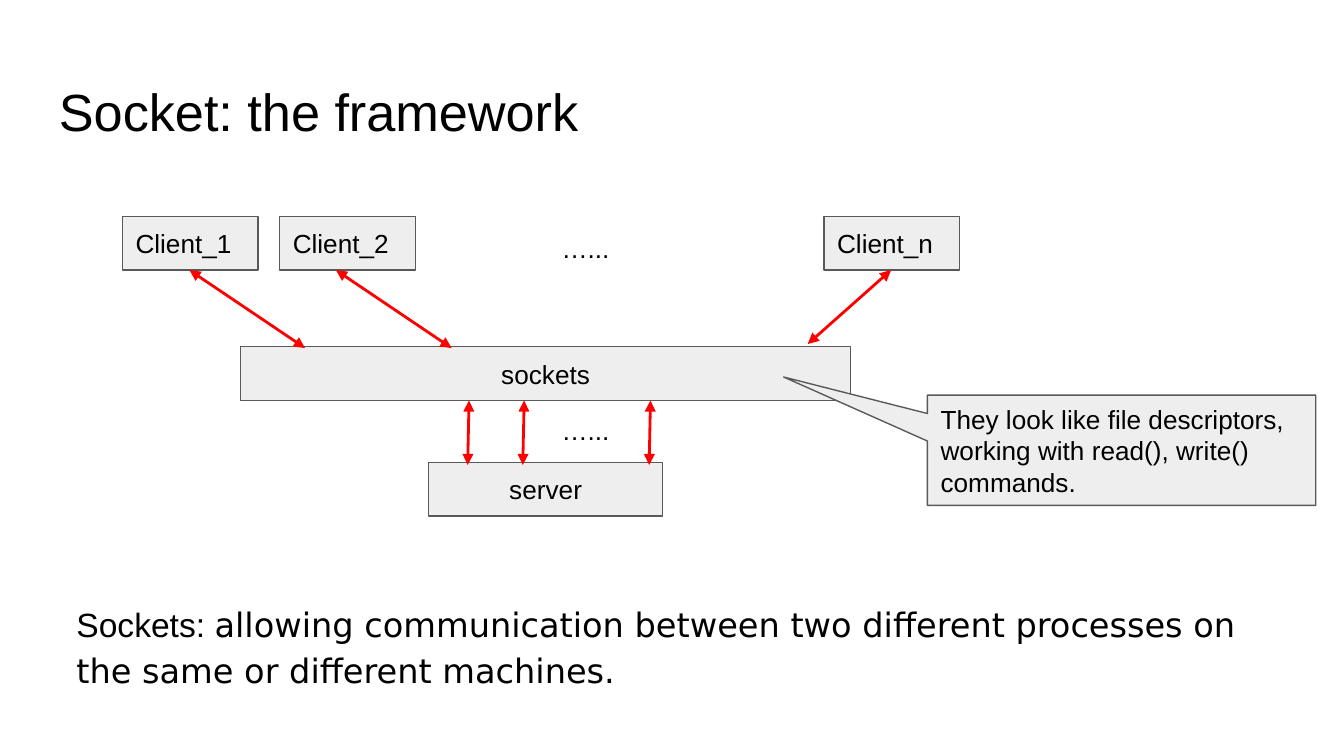
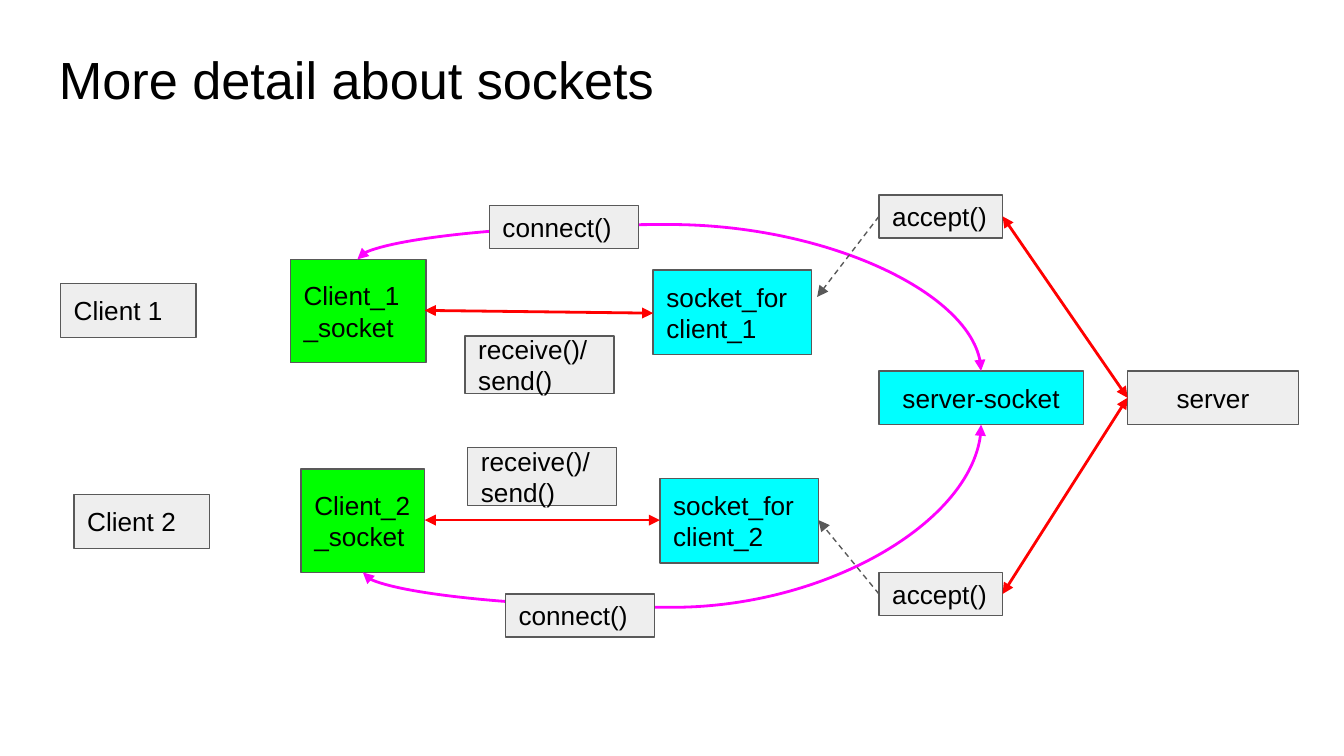
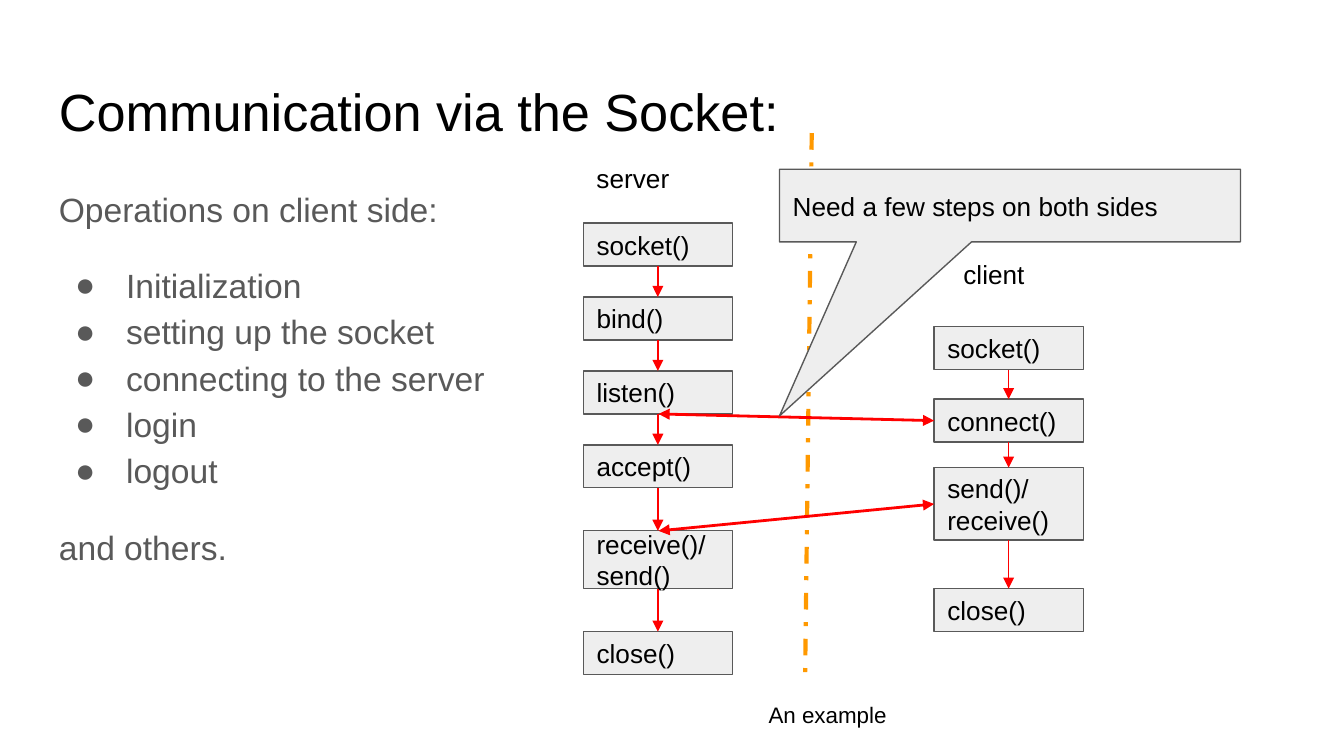
from itertools import pairwise

from lxml.etree import SubElement
from pptx import Presentation
from pptx.dml.color import RGBColor
from pptx.enum.dml import MSO_LINE_DASH_STYLE as Dash
from pptx.enum.shapes import MSO_CONNECTOR as Connector, MSO_SHAPE as Shape
from pptx.enum.text import MSO_ANCHOR as Anchor, PP_ALIGN as Align
from pptx.oxml.ns import qn
from pptx.util import Inches, Pt

COLORS = {
    "text": "000000",
    "body": "595959",
    "outline": "595959",
    "box": "EEEEEE",
    "client": "00FF00",
    "server": "00FFFF",
    "arrow": "FF0000",
    "connect": "FF00FF",
    "divider": "FF9900",
}
FONT = "Arial"
WIDE_FONT = "DejaVu Sans"
INSET = 0.1
CALL_WIDTH = 1.11
CALL_HEIGHT = 0.32
BOX_HEIGHT = 0.4


def color(name):
    return RGBColor.from_string(COLORS[name])


def add_span(para, text, size=14, tint="text", font=FONT):
    span = para.add_run()
    span.text = text
    span.font.name = font
    span.font.size = Pt(size)
    span.font.color.rgb = color(tint)


def prepare_frame(shape, anchor):
    frame = shape.text_frame
    frame.word_wrap = True
    frame.vertical_anchor = anchor
    frame.margin_left = frame.margin_right = Inches(INSET)
    frame.margin_top = frame.margin_bottom = Inches(INSET)
    return frame


def write_lines(frame, text, size=14, align=Align.LEFT):
    for index, line in enumerate(text.split("\n")):
        para = frame.add_paragraph() if index else frame.paragraphs[0]
        para.alignment = align
        add_span(para, line, size)


def add_text(page, place, text="", size=14, anchor=Anchor.TOP):
    label = page.shapes.add_textbox(*map(Inches, place))
    frame = prepare_frame(label, anchor)
    if text:
        write_lines(frame, text, size)
    return frame


def add_title(page, text, top=0.49):
    add_text(page, (0.34, top, 9.32, 0.63), text, 28)


def add_box(parent, place, text, fill="box", align=Align.LEFT, kind=Shape.RECTANGLE, adjust=()):
    box = parent.shapes.add_shape(kind, *map(Inches, place))
    box.shadow.inherit = False
    for index, value in enumerate(adjust):
        box.adjustments[index] = value
    box.fill.solid()
    box.fill.fore_color.rgb = color(fill)
    box.line.color.rgb = color("outline")
    box.line.width = Pt(0.75)
    write_lines(prepare_frame(box, Anchor.MIDDLE), text, align=align)


def style_line(line, tint, width, dash=None, ends=("headEnd", "tailEnd")):
    line.line.color.rgb = color(tint)
    line.line.width = Pt(width)
    if dash:
        line.line.dash_style = dash
    outline = line.line._get_or_add_ln()
    for end in ends:
        SubElement(outline, qn(f"a:{end}"), type="triangle")
    SubElement(line._element.spPr, qn("a:effectLst"))


def add_line(page, start, finish, tint="arrow", width=1.5, **style):
    points = map(Inches, (*start, *finish))
    line = page.shapes.add_connector(Connector.STRAIGHT, *points)
    style_line(line, tint, width, **style)


def add_curve(page, start, finish, bend):
    (x1, y1), (x2, y2) = start, finish
    center_x, center_y = (x1 + x2) / 2, (y1 + y2) / 2
    half_rise, half_reach = (y2 - y1) / 2, abs(x2 - x1) / 2
    points = (center_x - half_rise, center_y - half_reach,
              center_x + half_rise, center_y + half_reach)
    curve = page.shapes.add_connector(Connector.CURVE, *map(Inches, points))
    properties = curve._element.spPr
    properties.find(qn("a:xfrm")).set("rot", str(90 * 60000))
    guides = properties.find(qn("a:prstGeom")).get_or_add_avLst()
    ratio = round((bend - y1) / (y2 - y1) * 100000)
    SubElement(guides, qn("a:gd"), name="adj1", fmla=f"val {ratio}")
    style_line(curve, "connect", 1.5)


def add_bullet(para):
    properties = para._p.get_or_add_pPr()
    properties.set("marL", str(Inches(0.5)))
    properties.set("indent", str(Inches(-0.38)))
    tint = SubElement(properties, qn("a:buClr"))
    SubElement(tint, qn("a:srgbClr"), val=COLORS["body"])
    SubElement(properties, qn("a:buFont"), typeface=FONT)
    SubElement(properties, qn("a:buChar"), char="●")


def add_flow(page, left, steps):
    for text, top, height in steps:
        add_box(page, (left, top, CALL_WIDTH, height), text)
    middle = left + CALL_WIDTH / 2
    for (_, top, height), (_, next_top, _) in pairwise(steps):
        add_line(page, (middle, top + height), (middle, next_top), width=0.75, ends=("tailEnd",))


def build_framework(page):
    add_title(page, "Socket: the framework")
    body = add_text(page, (0.47, 4.05, 9.32, 1.17))
    body.margin_top = Inches(0.4)
    body.margin_right = Inches(0.3)
    para = body.paragraphs[0]
    para.line_spacing = 1.15
    para.space_after = Pt(16)
    add_span(para, "Sockets: ", 18)
    add_span(para, "allowing communication between two different processes on "
                   "the same or different machines.", 18, font=WIDE_FONT)

    for name, left in (("Client_1", 0.91), ("Client_2", 2.08), ("Client_n", 6.13)):
        add_box(page, (left, 1.61, 1.01, BOX_HEIGHT), name)
    add_box(page, (1.79, 2.58, 4.54, BOX_HEIGHT), "sockets", align=Align.CENTER)
    add_box(page, (3.19, 3.44, 1.74, BOX_HEIGHT), "server", align=Align.CENTER)
    for top in (1.63, 2.98):
        add_text(page, (4.08, top, 0.57, 0.36), "…...")

    for start_x, end_x, end_y in ((1.41, 2.27, 2.59), (2.5, 3.36, 2.59), (6.63, 6.01, 2.56)):
        add_line(page, (start_x, 2.01), (end_x, end_y))
    for x in (3.49, 3.9, 4.84):
        add_line(page, (x, 2.98), (x - 0.01, 3.46))
    add_box(page, (6.9, 2.94, 2.89, 0.82),
            "They look like file descriptors, working with read(), write() commands.",
            kind=Shape.ROUNDED_RECTANGULAR_CALLOUT, adjust=(-0.87, -0.665, 0))


def build_detail(page):
    add_title(page, "More detail about sockets", 0.25)
    add_box(page, (8.39, 2.76, 1.27, BOX_HEIGHT), "server", align=Align.CENTER)
    add_box(page, (6.54, 2.76, 1.52, BOX_HEIGHT), "server-socket", "server", Align.CENTER)

    clients = (
        (1, (2.16, 1.93, 1.01, 0.77), (0.45, 2.11), (4.86, 2.01)),
        (2, (2.24, 3.49, 0.92, 0.77), (0.55, 3.68), (4.91, 3.56)),
    )
    for number, socket_place, client_corner, peer_corner in clients:
        group = page.shapes.add_group_shape()
        add_box(group, socket_place, f"Client_{number}_socket", "client")
        add_box(group, (*client_corner, 1.01, BOX_HEIGHT), f"Client {number}")
        add_box(page, (*peer_corner, 1.18, 0.63), f"socket_for client_{number}", "server")

    add_line(page, (3.16, 2.31), (4.86, 2.33))
    add_line(page, (3.16, 3.87), (4.91, 3.87))
    add_curve(page, (7.3, 3.16), (2.7, 4.26), 4.52)
    add_curve(page, (7.3, 2.76), (2.66, 1.93), 1.67)
    for left, top in ((3.76, 4.42), (3.64, 1.53)):
        add_box(page, (left, top, CALL_WIDTH, CALL_HEIGHT), "connect()")
    for left, top in ((3.46, 2.5), (3.48, 3.33)):
        add_box(page, (left, top, CALL_WIDTH, 0.43), "receive()/\nsend()")

    for top, peer in ((1.45, (6.08, 2.21)), (4.26, (6.09, 3.87))):
        middle = top + CALL_HEIGHT / 2
        add_box(page, (6.54, top, 0.92, CALL_HEIGHT), "accept()")
        add_line(page, (6.54, middle), peer, "outline", 0.75, dash=Dash.DASH, ends=("tailEnd",))
        add_line(page, (7.46, middle), (8.39, 2.96))


def build_communication(page):
    add_line(page, (6.04, 0.99), (5.99, 5.08), "divider", 2.25, dash=Dash.DASH_DOT, ends=())
    add_title(page, "Communication via the Socket:")
    operations = (
        ("Operations on client side:", False, 0),
        ("Initialization", True, 16),
        ("setting up the socket", True, 0),
        ("connecting to the server", True, 0),
        ("login", True, 0),
        ("logout", True, 0),
        ("and others.", False, 16),
    )
    body = add_text(page, (0.34, 1.26, 3.6, 3.33))
    for index, (text, bulleted, before) in enumerate(operations):
        para = body.add_paragraph() if index else body.paragraphs[0]
        para.line_spacing = 1.15
        para.space_before = Pt(before)
        if bulleted:
            add_bullet(para)
        add_span(para, text, 18, "body")

    add_text(page, (4.34, 1.11, 0.96, 0.32), "server")
    server_calls = ("socket()", "bind()", "listen()", "accept()")
    server_steps = [(call, 1.66 + 0.55 * row, CALL_HEIGHT) for row, call in enumerate(server_calls)]
    server_steps += [("receive()/\nsend()", 3.95, 0.43), ("close()", 4.7, CALL_HEIGHT)]
    add_flow(page, 4.34, server_steps)

    add_text(page, (7.07, 1.82, 0.87, 0.43), "client")
    add_flow(page, 6.95, (
        ("socket()", 2.43, CALL_HEIGHT),
        ("connect()", 2.97, CALL_HEIGHT),
        ("send()/\nreceive()", 3.48, 0.54),
        ("close()", 4.38, CALL_HEIGHT),
    ))
    add_line(page, (6.95, 3.13), (4.9, 3.08))
    add_line(page, (6.95, 3.75), (4.9, 3.95))
    add_box(page, (5.8, 1.26, 3.43, 0.54), "Need a few steps on both sides",
            kind=Shape.RECTANGULAR_CALLOUT, adjust=(-0.5, 2.898))
    add_text(page, (5.62, 5.14, 1.27, 0.36), "An example", 12, Anchor.MIDDLE)


def main():
    deck = Presentation()
    deck.slide_width = Inches(10)
    deck.slide_height = Inches(10 * 9 / 16)
    for build in (build_framework, build_detail, build_communication):
        build(deck.slides.add_slide(deck.slide_layouts[6]))
    deck.save("out.pptx")


if __name__ == "__main__":
    main()
